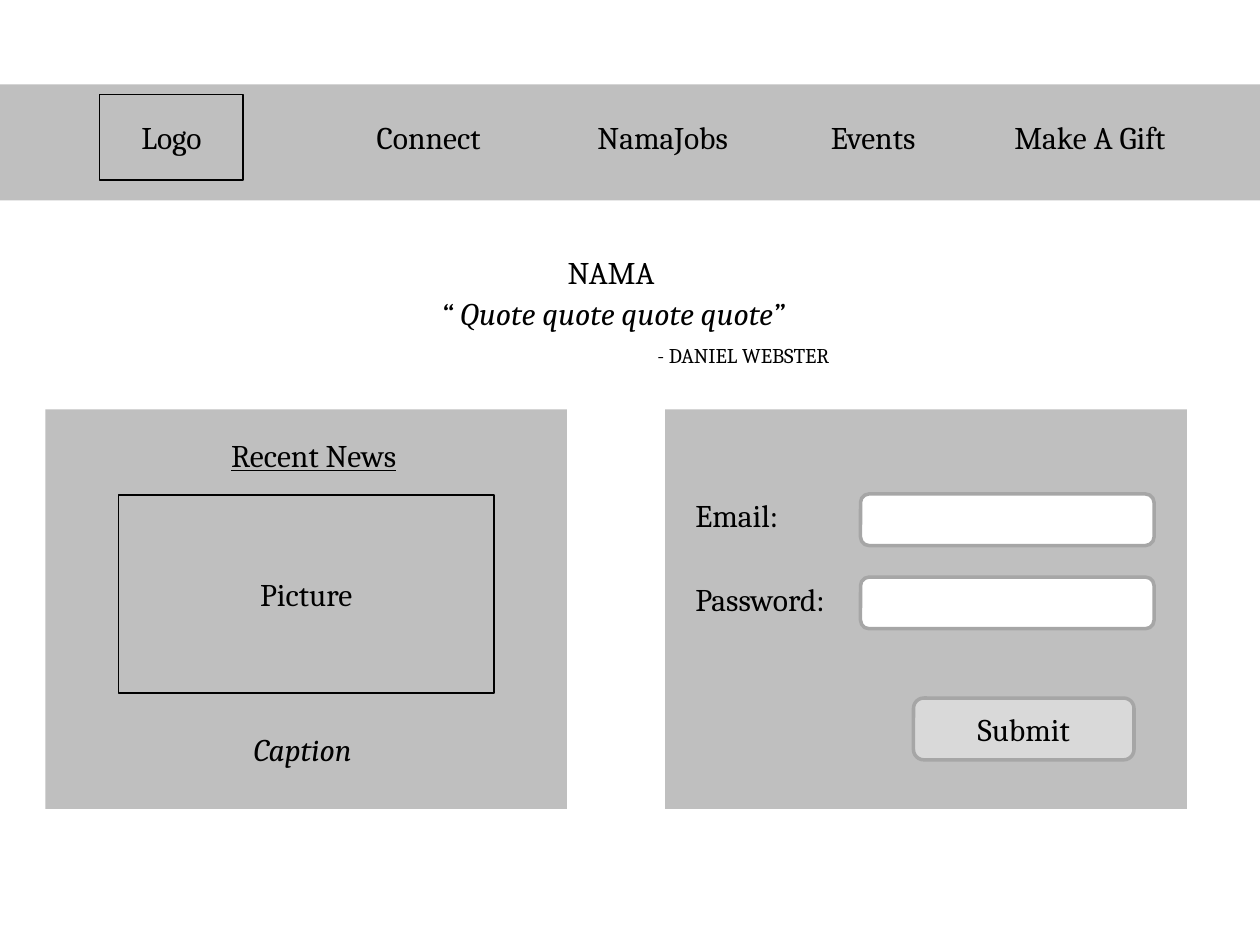
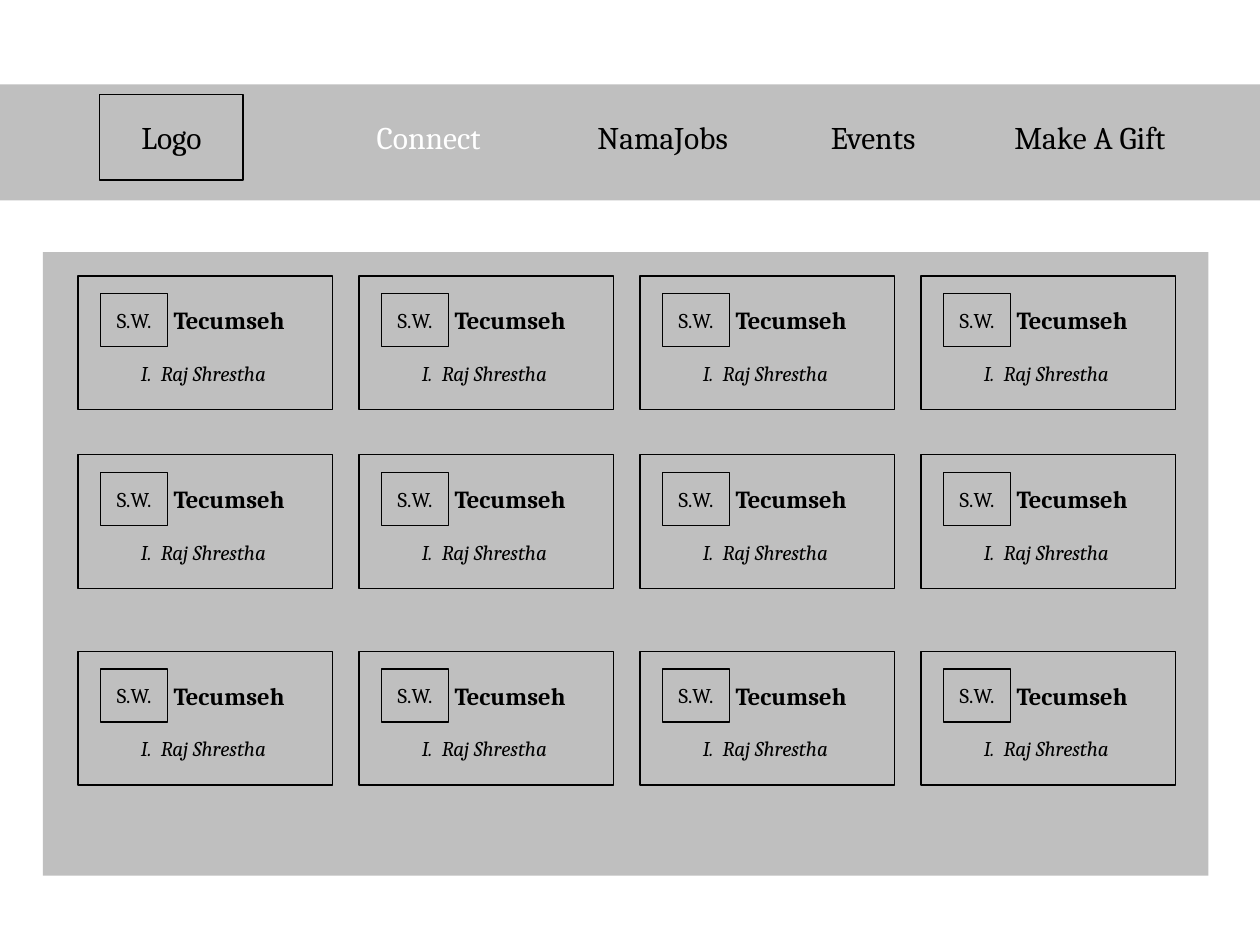
from itertools import product

from pptx import Presentation
from pptx.dml.color import RGBColor
from pptx.enum.shapes import MSO_SHAPE as Preset
from pptx.enum.text import MSO_ANCHOR as Anchor, MSO_AUTO_SIZE as AutoSize, PP_ALIGN as Align
from pptx.util import Inches, Pt

BLACK, WHITE = "000000", "FFFFFF"
BAND, BUTTON, FIELD_EDGE = "BFBFBF", "D9D9D9", "A6A6A6"
TITLE_ONLY, BLANK = 5, 6

MENU = [("Connect ", 2.75, 1.36), ("NamaJobs", 4.58, 1.36),
        ("Events", 6.25, 1.36), ("Make A Gift", 7.9, 1.5)]
MENU_TOP, MENU_HEIGHT = 0.75, 0.68

CARD_LEFT, CARD_STEP = 0.62, 2.23
CARD_COLUMNS = 4
CARD_TOPS = (2.19, 3.61, 5.17)


def color(hex_string):
    return RGBColor.from_string(hex_string)


class Wireframe:
    """Holds the shared style, the current slide and the target for new shapes."""

    font_format = {"name": "Cambria", "size": Pt(18), "bold": False,
                   "italic": False, "underline": False}

    def __init__(self):
        self.presentation = Presentation()
        self.presentation.slide_width = Inches(10)
        self.presentation.slide_height = Inches(7.5)
        self.slide = self.shapes = None

    def new_slide(self, layout, active=None):
        """Start a slide with the menu bar; the active entry turns white."""
        layouts = self.presentation.slide_layouts
        self.slide = self.presentation.slides.add_slide(layouts[layout])
        self.shapes = self.slide.shapes
        self.panel(0, 0.67, 10, 0.92)
        self.frame(0.79, MENU_TOP, 1.14, MENU_HEIGHT, "Logo")
        for entry, left, width in MENU:
            self.label(entry, left, MENU_TOP, width, MENU_HEIGHT,
                       ink=WHITE if entry == active else BLACK)

    def set_text(self, shape, text, align=Align.CENTER, ink=BLACK, **changes):
        frame_format = {"word_wrap": True, "auto_size": AutoSize.NONE,
                        "vertical_anchor": Anchor.MIDDLE}
        for name, value in frame_format.items():
            setattr(shape.text_frame, name, value)
        paragraph = shape.text_frame.paragraphs[0]
        paragraph.alignment = align
        run = paragraph.add_run()
        run.text = text
        for name, value in {**self.font_format, **changes}.items():
            setattr(run.font, name, value)
        run.font.color.rgb = color(ink)

    def label(self, text, left, top, width, height, **style):
        box = self.shapes.add_textbox(*map(Inches, (left, top, width, height)))
        self.set_text(box, text, **style)

    def title(self, text, left, top, width, height):
        title = self.slide.shapes.title
        place = {"left": left, "top": top, "width": width, "height": height}
        for name, value in place.items():
            setattr(title, name, Inches(value))
        self.set_text(title, text)

    def box(self, preset, left, top, width, height, fill=None, edge=None, weight=0.75):
        shape = self.shapes.add_shape(preset, *map(Inches, (left, top, width, height)))
        shape.shadow.inherit = False
        if fill:
            shape.fill.solid()
            shape.fill.fore_color.rgb = color(fill)
        else:
            shape.fill.background()
        if edge:
            shape.line.color.rgb = color(edge)
            shape.line.width = Pt(weight)
        else:
            shape.line.fill.background()
        return shape

    def panel(self, left, top, width, height):
        self.box(Preset.RECTANGLE, left, top, width, height, fill=BAND)

    def frame(self, left, top, width, height, text=None, **style):
        """Draw a thin black outline, with centred text if given."""
        shape = self.box(Preset.RECTANGLE, left, top, width, height, edge=BLACK)
        if text:
            self.set_text(shape, text, **style)

    def control(self, left, top, width, height, fill, text=None):
        """Draw a rounded form field or button."""
        shape = self.box(Preset.ROUNDED_RECTANGLE, left, top, width, height,
                         fill, FIELD_EDGE, 2)
        if text:
            self.set_text(shape, text)

    def person_card(self, left, top):
        self.shapes = self.slide.shapes.add_group_shape().shapes
        self.frame(left + 0.18, top + 0.14, 0.53, 0.42, "S.W.", size=Pt(12))
        self.frame(left, top, 2.02, 1.06)
        self.label("Tecumseh", left + 0.66, top + 0.14, 1.36, 0.42,
                   align=Align.LEFT, size=Pt(14), bold=True)
        self.label("I.  Raj Shrestha", left + 0.4, top + 0.56, 1.36, 0.42,
                   align=Align.LEFT, size=Pt(12), italic=True)
        self.shapes = self.slide.shapes


def build_home(wireframe):
    wireframe.new_slide(TITLE_ONLY)
    wireframe.title("NAMA", 4.17, 1.82, 1.36, 0.68)
    wireframe.label("“ Quote quote quote quote”", 1.73, 2.17, 6.27, 0.62, italic=True)
    wireframe.label("- DANIEL WEBSTER", 4.69, 2.54, 2.42, 0.56, size=Pt(12))

    for panel_left in (0.36, 5.28):
        wireframe.panel(panel_left, 3.25, 4.14, 3.17)

    wireframe.label("Recent News", 1.39, 3.3, 2.2, 0.62, underline=True)
    wireframe.frame(0.94, 3.93, 2.98, 1.57, "Picture")
    wireframe.label("Caption ", 1.33, 5.69, 2.2, 0.51, italic=True)

    for row, field in enumerate(("Email:", "Password:")):
        offset = row * 0.66
        wireframe.label(field, 5.42, 3.75 + offset, 1.36, 0.68, align=Align.LEFT)
        wireframe.control(6.83, 3.92 + offset, 2.33, 0.41, WHITE)
    wireframe.control(7.25, 5.54, 1.75, 0.49, BUTTON, "Submit")


def build_connect(wireframe):
    wireframe.new_slide(BLANK, active="Connect ")
    wireframe.panel(0.34, 2, 9.25, 4.95)
    for top, column in product(CARD_TOPS, range(CARD_COLUMNS)):
        wireframe.person_card(CARD_LEFT + column * CARD_STEP, top)


def main():
    wireframe = Wireframe()
    build_home(wireframe)
    build_connect(wireframe)
    wireframe.presentation.save("out.pptx")


if __name__ == "__main__":
    main()
